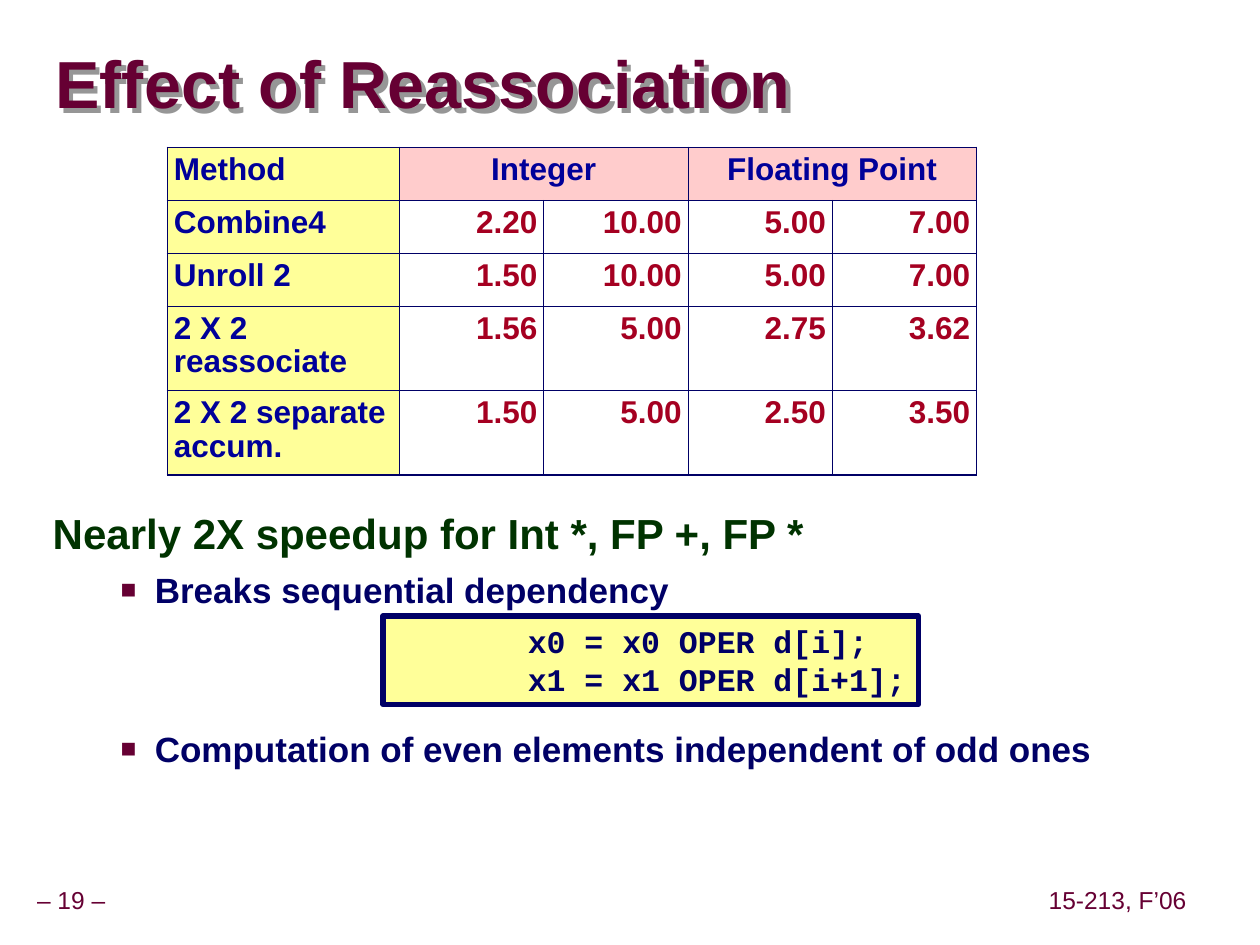
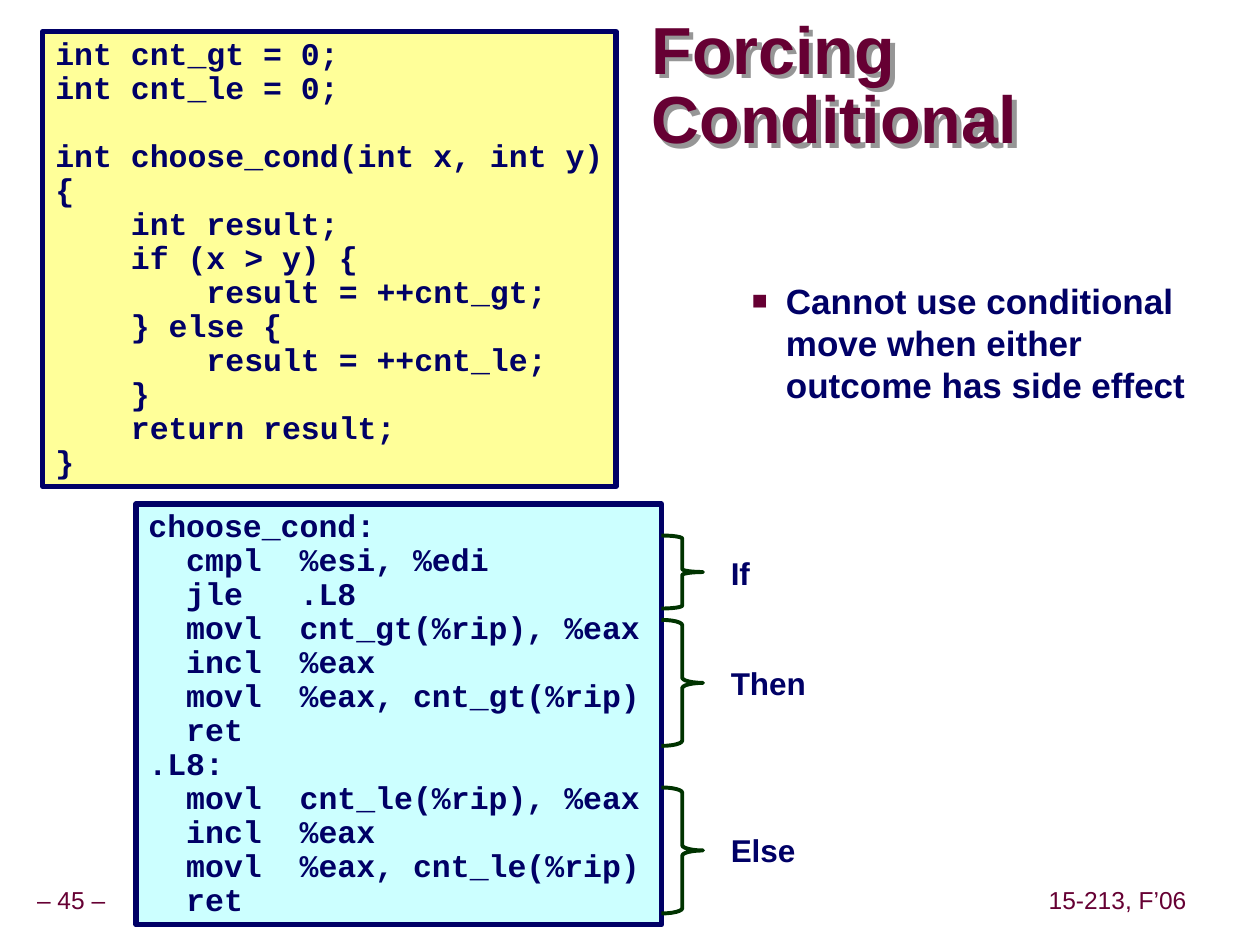
from dataclasses import dataclass, replace

from lxml import etree
from pptx import Presentation
from pptx.dml.color import RGBColor
from pptx.enum.shapes import MSO_SHAPE
from pptx.enum.text import MSO_ANCHOR, PP_ALIGN
from pptx.oxml.ns import qn
from pptx.util import Inches, Pt

LEFT, CENTER, RIGHT = PP_ALIGN.LEFT, PP_ALIGN.CENTER, PP_ALIGN.RIGHT
TOP, MIDDLE = MSO_ANCHOR.TOP, MSO_ANCHOR.MIDDLE
RECTANGLE, RIGHT_BRACE = MSO_SHAPE.RECTANGLE, MSO_SHAPE.RIGHT_BRACE


@dataclass(frozen=True)
class Style:
    size: float
    color: str
    font: str = "Arial"
    bold: bool = True
    align: int = LEFT
    leading: float = 1.0
    before: float = 0
    indent: float = 0
    bullet: bool = False


class Theme:
    maroon, navy, green = "660033", "000066", "003300"
    yellow, pink, cyan, shadow = "FFFF99", "FFCCCC", "CCFFFF", "969696"
    line_height = 1.2
    code_border, brace_line = 3, 2.25
    thin, thick = 0.45, 1.08
    title = Style(38, maroon, leading=0.87)
    footer = Style(14, maroon, bold=False, align=CENTER, leading=0.9)
    heading = Style(24, green, leading=0.95)
    point = Style(20, navy, indent=0.81, bullet=True)
    code = Style(18, navy, font="Courier New", leading=0.9)
    label = Style(18, navy, leading=0.9)
    method = Style(18, "000099")
    value = Style(18, "A50021", align=RIGHT)


def write(frame, paragraphs, proportional=None):
    """Fill a text frame from (text, style) pairs; an empty text becomes space before the next one."""
    gap = 0
    target = frame.paragraphs[0]
    for text, style in paragraphs:
        line_pitch = style.size * Theme.line_height * style.leading
        if not text:
            gap += line_pitch
            continue
        if target is None:
            target = frame.add_paragraph()
        target.alignment = style.align
        target.line_spacing = proportional or Pt(line_pitch)
        target.space_before = Pt(style.before + gap)
        properties = target._p.get_or_add_pPr()
        properties.set("marL", str(Inches(style.indent)))
        if style.bullet:
            properties.set("indent", str(Inches(-0.27)))
            color = etree.SubElement(properties, qn("a:buClr"))
            etree.SubElement(color, qn("a:srgbClr"), val=Theme.maroon)
            etree.SubElement(properties, qn("a:buSzPct"), val="75000")
            etree.SubElement(properties, qn("a:buFont"), typeface="Arial")
            etree.SubElement(properties, qn("a:buChar"), char="■")
        run = target.add_run()
        run.text = text
        run.font.name, run.font.size, run.font.bold = style.font, Pt(style.size), style.bold
        run.font.color.rgb = RGBColor.from_string(style.color)
        target, gap = None, 0


def add_text(slide, box, paragraphs, insets, anchor=TOP, fill=None):
    """Add a text box, or a bordered code panel when a fill is given."""
    place = [Inches(length) for length in box]
    if fill:
        block = slide.shapes.add_shape(RECTANGLE, *place)
        block.fill.solid()
        block.fill.fore_color.rgb = RGBColor.from_string(fill)
        block.line.color.rgb = RGBColor.from_string(Theme.navy)
        block.line.width = Pt(Theme.code_border)
    else:
        block = slide.shapes.add_textbox(*place)
    block.shadow.inherit = False
    frame = block.text_frame
    frame.word_wrap = True
    frame.vertical_anchor = anchor
    (frame.margin_left, frame.margin_top,
     frame.margin_right, frame.margin_bottom) = [Inches(inset) for inset in insets]
    write(frame, paragraphs)
    return block


NO_INSETS, SMALL_INSETS = (0, 0, 0, 0), (0.05, 0.05, 0.05, 0.05)
BODY_INSETS, CODE_INSETS = (0.1, 0.05, 0.1, 0.05), (0.1, 0.05, 0, 0.05)

presentation = Presentation()
presentation.slide_width, presentation.slide_height = Inches(10), Inches(7.5)

# Footers and shadowed titles
slides = []
for page, heading, title_left, title_width in (
    (19, "Effect of Reassociation", 0.44, 9.53),
    (45, "Forcing Conditional", 5.17, 4.81),
):
    slide = presentation.slides.add_slide(presentation.slide_layouts[6])
    for left, width, text in ((0, 1.13, f"– {page} –"), (8.17, 1.4, "15-213, F’06")):
        add_text(slide, (left, 7, width, 0.31), [(text, Theme.footer)], SMALL_INSETS, MIDDLE)
    title = add_text(slide, (title_left, 0.27, title_width, 0.85),
                     [(heading, Theme.title)], NO_INSETS, MIDDLE)
    effects = title._element.spPr.find(qn("a:effectLst"))
    shadow = etree.SubElement(effects, qn("a:outerShdw"), blurRad="0",
                              dist=str(Inches(0.05)), dir="2700000", algn="tl", rotWithShape="0")
    etree.SubElement(shadow, qn("a:srgbClr"), val=Theme.shadow)
    slides.append(slide)
reassociation, conditional = slides

# Reassociation: timing table
timings = [
    ("Method", "Integer", "", "Floating Point", ""),
    ("Combine4", "2.20", "10.00", "5.00", "7.00"),
    ("Unroll 2", "1.50", "10.00", "5.00", "7.00"),
    ("2 X 2 reassociate", "1.56", "5.00", "2.75", "3.62"),
    ("2 X 2 separate accum.", "1.50", "5.00", "2.50", "3.50"),
]
row_heights = (0.42, 0.42, 0.42, 0.67, 0.67)
table_width, method_width = 6.42, 1.84
last_row, last_column = len(timings) - 1, len(timings[0]) - 1
table = reassociation.shapes.add_table(
    len(timings), len(timings[0]), Inches(1.33), Inches(1.17),
    Inches(table_width), Inches(sum(row_heights))).table
table.first_row = table.horz_banding = False
for column_index, column in enumerate(table.columns):
    column.width = Inches((table_width - method_width) / last_column if column_index else method_width)
for row_index, (height, row) in enumerate(zip(row_heights, timings)):
    table.rows[row_index].height = Inches(height)
    for column_index, text in enumerate(row):
        cell = table.cell(row_index, column_index)
        cell.margin_left = cell.margin_right = Inches(0.05)
        cell.margin_top = cell.margin_bottom = Inches(0.05)
        if column_index == 0:
            style, fill = Theme.method, Theme.yellow
        elif row_index == 0:
            style, fill = replace(Theme.method, align=CENTER), Theme.pink
        else:
            style, fill = Theme.value, None
        edges = (("a:lnL", column_index == 0), ("a:lnR", column_index == last_column),
                 ("a:lnT", row_index == 0), ("a:lnB", row_index == last_row))
        for tag, is_outer in edges:
            width = Pt(Theme.thick if is_outer else Theme.thin)
            border = etree.SubElement(cell._tc.get_or_add_tcPr(), qn(tag), w=str(width))
            line_fill = etree.SubElement(border, qn("a:solidFill"))
            etree.SubElement(line_fill, qn("a:srgbClr"), val=Theme.navy)
        if fill:
            cell.fill.solid()
            cell.fill.fore_color.rgb = RGBColor.from_string(fill)
        else:
            cell.fill.background()
        if text:
            write(cell.text_frame, [(text, style)], proportional=0.95)
for first in (1, 3):
    table.cell(0, first).merge(table.cell(0, first + 1))

# Reassociation: conclusions, with room for the code between the two points
add_text(reassociation, (0.32, 4, 9.09, 3.05), [
    ("Nearly 2X speedup for Int *, FP +, FP *", Theme.heading),
    ("Breaks sequential dependency", replace(Theme.point, before=6.2)),
    ("Computation of even elements independent of odd ones", replace(Theme.point, before=66.6)),
], BODY_INSETS)
update_code = replace(Theme.code, leading=1, indent=1.05)
add_text(reassociation, (3.04, 4.89, 4.25, 0.7), [
    ("x0 = x0 OPER d[i];", update_code),
    ("x1 = x1 OPER d[i+1];", update_code),
], CODE_INSETS, fill=Theme.yellow)

# Conditional: remark, C source and assembly
add_text(conditional, (5.33, 2.17, 4.24, 4.22), [
    ("Cannot use conditional move when either outcome has side effect", Theme.point),
], BODY_INSETS)

c_source = """int cnt_gt = 0;
int cnt_le = 0;

int choose_cond(int x, int y)
{
    int result;
    if (x > y) {
        result = ++cnt_gt;
    } else {
        result = ++cnt_le;
    }
    return result;
}"""
assembly = """choose_cond:
  cmpl  %esi, %edi
  jle   .L8
  movl  cnt_gt(%rip), %eax
  incl  %eax
  movl  %eax, cnt_gt(%rip)
  ret
.L8:
  movl  cnt_le(%rip), %eax
  incl  %eax
  movl  %eax, cnt_le(%rip)
  ret"""
for box, listing, fill in (
    ((0.34, 0.25, 4.55, 3.61), c_source, Theme.yellow),
    ((1.08, 4, 4.17, 3.34), assembly, Theme.cyan),
):
    add_text(conditional, box, [(line, Theme.code) for line in listing.splitlines()],
             CODE_INSETS, fill=fill)

# Conditional: braces that tie the assembly to the branches
brace_width = 0.33
for branch, top, height, label_top in (
    ("If", 4.25, 0.58, 4.38), ("Then", 4.92, 1, 5.25), ("Else", 6.25, 1, 6.58),
):
    brace = conditional.shapes.add_shape(
        RIGHT_BRACE, Inches(5.25), Inches(top), Inches(brace_width), Inches(height))
    brace.adjustments[0] = height / 24 / brace_width
    brace.fill.background()
    brace.line.color.rgb = RGBColor.from_string(Theme.green)
    brace.line.width = Pt(Theme.brace_line)
    brace.shadow.inherit = False
    add_text(conditional, (5.75, label_top, 0.8, 0.37), [(branch, Theme.label)], SMALL_INSETS)

presentation.save("out.pptx")
